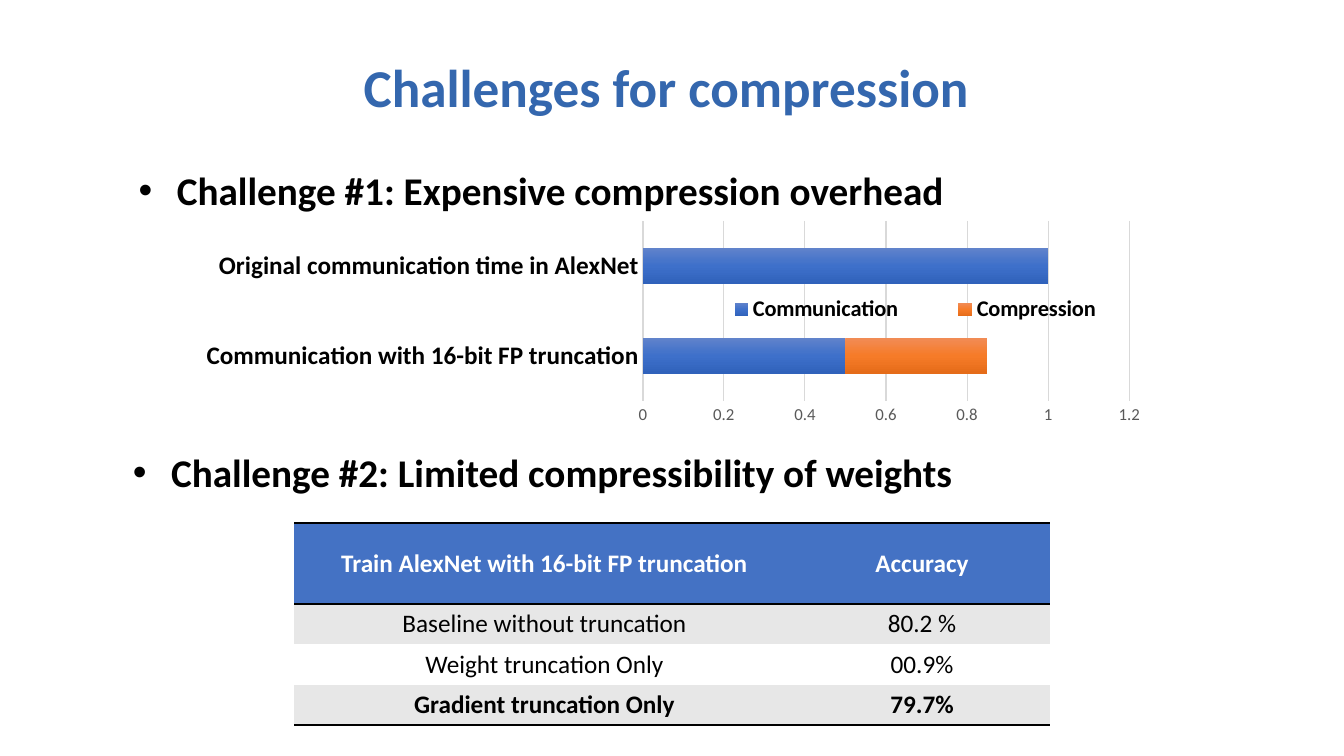
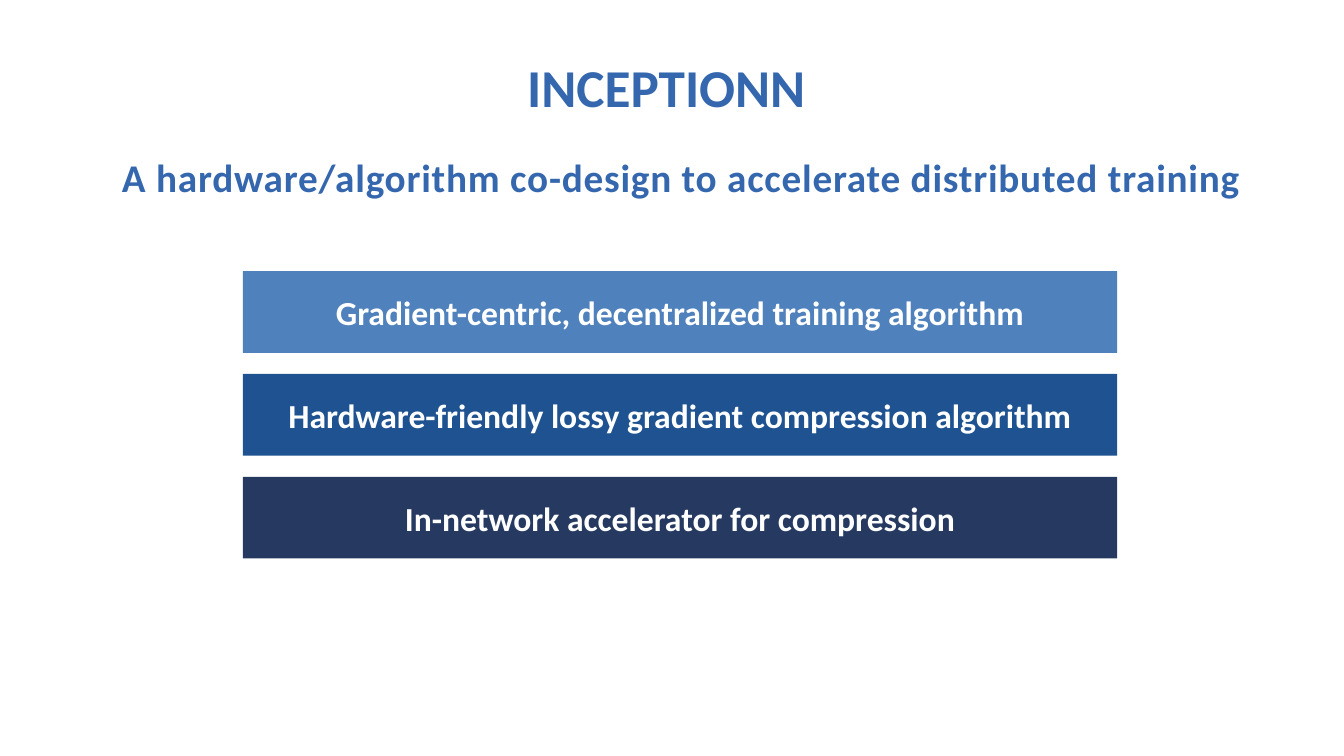
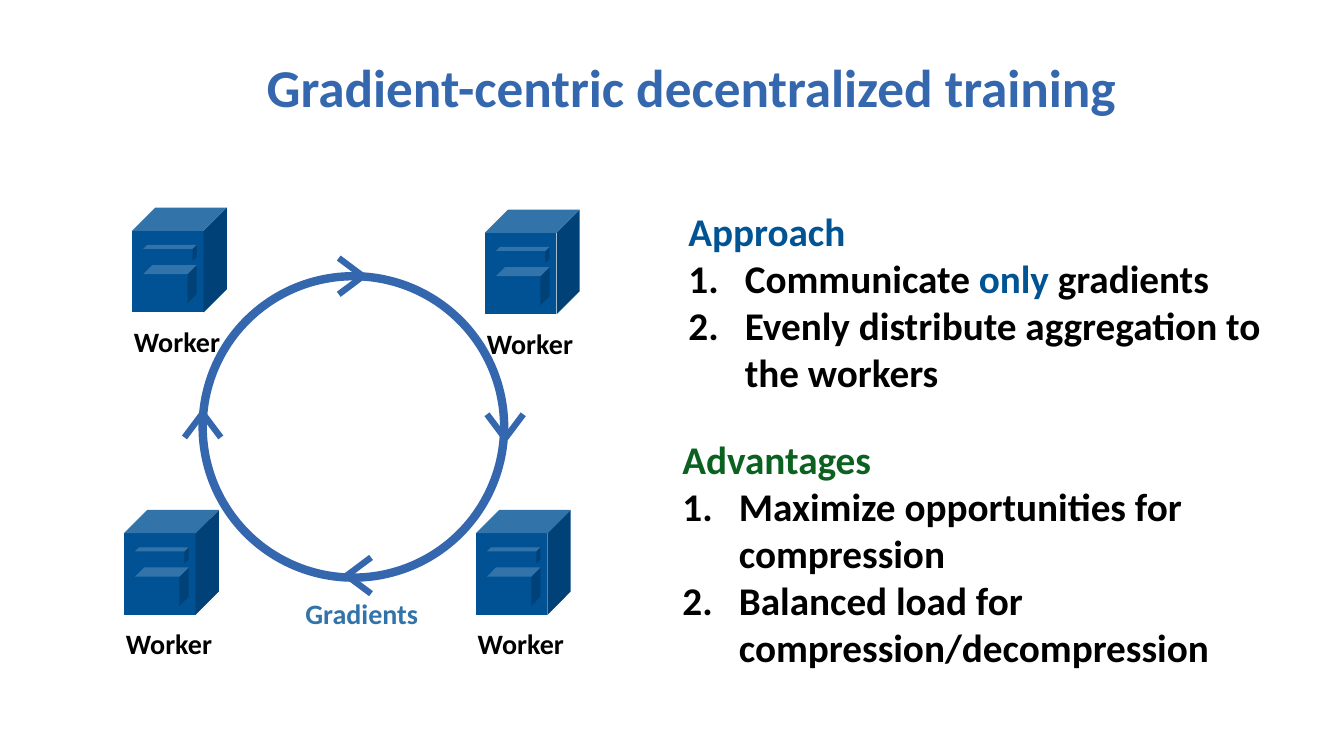
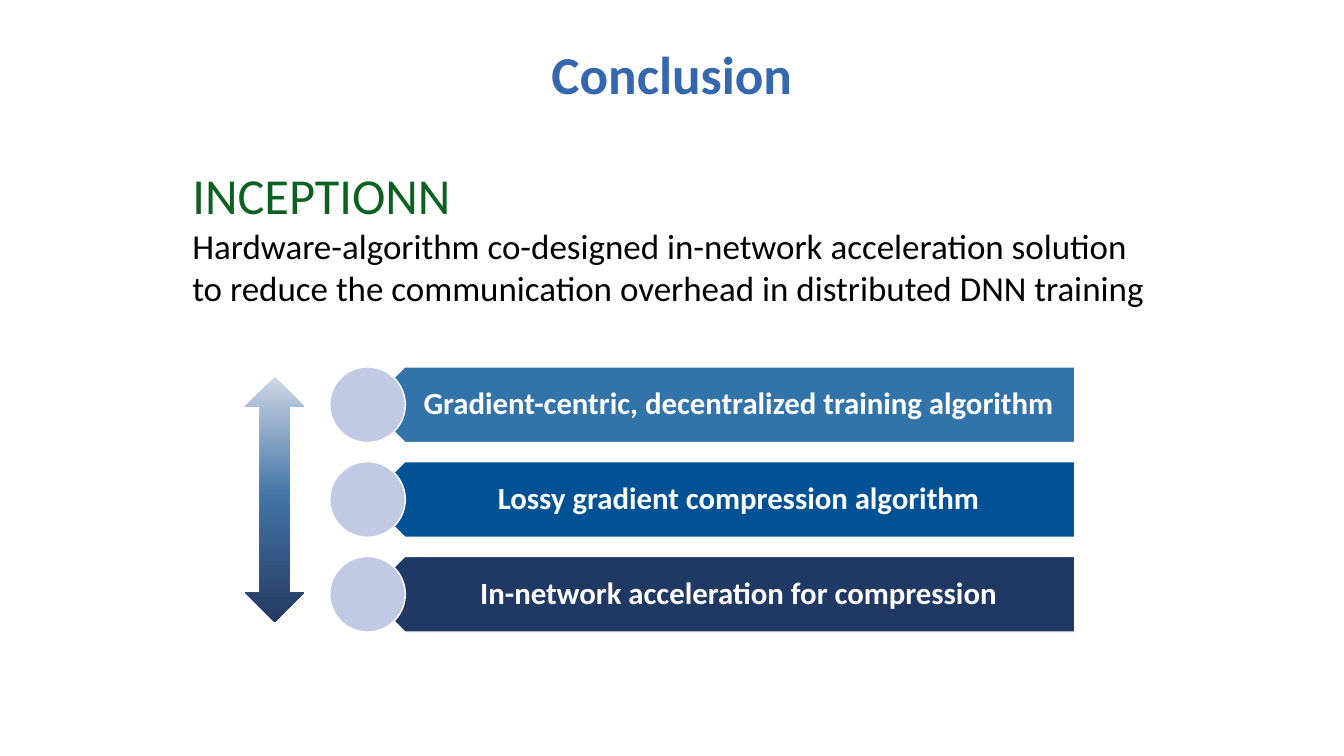
"""Build four slides on gradient compression for distributed training."""
from lxml import etree
from pptx import Presentation
from pptx.chart.data import CategoryChartData
from pptx.dml.color import RGBColor
from pptx.enum import chart as charts, shapes, text
from pptx.oxml.ns import qn
from pptx.util import Inches, Pt

FONT = "Calibri"
BLACK = RGBColor(0x00, 0x00, 0x00)
WHITE = RGBColor(0xFF, 0xFF, 0xFF)
TITLE_BLUE = RGBColor(0x34, 0x67, 0xAE)
TABLE_BLUE = RGBColor(0x44, 0x72, 0xC4)
SKY = RGBColor(0x4F, 0x81, 0xBD)
ROYAL = RGBColor(0x1E, 0x52, 0x90)
NAVY = RGBColor(0x25, 0x39, 0x61)
DEEP_NAVY = RGBColor(0x20, 0x38, 0x64)
FACE_TOP = RGBColor(0x32, 0x74, 0xAA)
FACE_FRONT = RGBColor(0x00, 0x52, 0x95)
FACE_SIDE = RGBColor(0x00, 0x42, 0x78)
ACCENT = RGBColor(0x00, 0x54, 0x93)
GREEN = RGBColor(0x0B, 0x61, 0x20)
LILAC = RGBColor(0xC1, 0xC9, 0xE4)
BAND = RGBColor(0xE7, 0xE7, 0xE7)
GRID = RGBColor(0xD9, 0xD9, 0xD9)
AXIS_GRAY = RGBColor(0x59, 0x59, 0x59)

CENTER = text.PP_ALIGN.CENTER
MIDDLE = text.MSO_ANCHOR.MIDDLE
INSETS = (0.1, 0.05, 0.1, 0.05)

CHALLENGES = [
    ("Challenge #1: Expensive compression overhead", (1.07, 1.6, 8.59, 0.57)),
    ("Challenge #2: Limited compressibility of weights", (1.16, 4.4, 8.44, 0.57)),
]
TIMINGS = ["Communication with 16-bit FP truncation", "Original communication time in AlexNet"]
COSTS = [
    ("Communication", (0.5, 1), [(0, "6183CB"), (50, "3E70CA"), (100, "3062BB")]),
    ("Compression", (0.35, 0), [(0, "F18C57"), (50, "F67B28"), (100, "E56C19")]),
]
ACCURACY = [
    ("Train AlexNet with 16-bit FP truncation", "Accuracy"),
    ("Baseline without truncation", "80.2 %"),
    ("Weight truncation Only", "00.9%"),
    ("Gradient truncation Only", "79.7%"),
]
PARTS = [
    ("Gradient-centric, decentralized training algorithm", SKY),
    ("Hardware-friendly lossy gradient compression algorithm", ROYAL),
    ("In-network accelerator for compression", NAVY),
]
WORKERS = [(1.31, 2.06), (4.81, 2.08), (4.72, 5.06), (1.23, 5.06)]
SERVER_BLOCKS = [
    (0, 0, 0.94, 1.04, 0.23),
    (0.11, 0.37, 0.53, 0.16, 0.04),
    (0.11, 0.57, 0.53, 0.38, 0.09),
]
ARROW_TIPS = [
    ((3.6, 2.74), (1, 0)),
    ((5.01, 4.35), (0, 1)),
    ((3.44, 5.71), (-1, 0)),
    ((2.01, 4.1), (0, -1)),
]
APPROACH = [
    [("Approach", {"color": ACCENT})],
    ["Communicate ", ("only", {"color": ACCENT}), " gradients"],
    ["Evenly distribute aggregation to the workers"],
]
ADVANTAGES = [
    [("Advantages", {"color": GREEN})],
    ["Maximize opportunities for compression"],
    ["Balanced load for compression/decompression"],
]
SUMMARY = [
    [("INCEPTIONN", {"color": GREEN, "size": 36})],
    ["Hardware-algorithm co-designed in-network acceleration solution\n"
     "to reduce the communication overhead in distributed DNN training"],
]
CONCLUSIONS = [
    ("Gradient-centric, decentralized training algorithm", FACE_TOP),
    ("Lossy gradient compression algorithm", FACE_FRONT),
    ("In-network acceleration for compression", DEEP_NAVY),
]
ARROW_STOPS = [(0, "CDD6E5"), (49, "4274A6"), (100, "253961")]


def style(font, size, color, bold=False):
    font.name, font.size, font.bold = FONT, Pt(size), bold
    font.color.rgb = color


def add_marker(paragraph, marker, indent):
    props = paragraph._p.get_or_add_pPr()
    props.set("marL", str(Inches(indent)))
    props.set("indent", str(-Inches(indent)))
    if marker == "•":
        etree.SubElement(props, qn("a:buFont"), typeface="Arial")
        etree.SubElement(props, qn("a:buChar"), char=marker)
    else:
        etree.SubElement(props, qn("a:buAutoNum"), type=marker)


def write(frame, paragraphs, size=28, color=BLACK, bold=True, align=None, anchor=None,
          insets=INSETS, wrap=True, marker=None, indent=0.38, marked_from=0,
          tracking=None, line_spacing=None):
    if isinstance(paragraphs, str):
        paragraphs = [[paragraphs]]
    frame.word_wrap = wrap
    if anchor is not None:
        frame.vertical_anchor = anchor
    frame.margin_left, frame.margin_top, frame.margin_right, frame.margin_bottom = map(Inches, insets)
    for number, runs in enumerate(paragraphs):
        paragraph = frame.add_paragraph() if number else frame.paragraphs[0]
        paragraph.alignment = align
        paragraph.line_spacing = line_spacing
        if marker and number >= marked_from:
            add_marker(paragraph, marker, indent)
        for item in runs:
            words, changes = (item, {}) if isinstance(item, str) else item
            for row, line in enumerate(words.split("\n")):
                if row:
                    paragraph.add_line_break()
                run = paragraph.add_run()
                run.text = line
                style(run.font, **{"size": size, "color": color, "bold": bold, **changes})
                if tracking:
                    run._r.get_or_add_rPr().set("spc", str(tracking))


def add_text(slide, box, paragraphs, **format):
    write(slide.shapes.add_textbox(*map(Inches, box)).text_frame, paragraphs, **format)


def paint(shape, fill=None, line=None, width=1):
    shape.shadow.inherit = False
    if fill is None:
        shape.fill.background()
    else:
        shape.fill.solid()
        shape.fill.fore_color.rgb = fill
    if line is None:
        shape.line.fill.background()
    else:
        shape.line.color.rgb = line
        shape.line.width = Pt(width)


def add_shape(slide, kind, box, **look):
    shape = slide.shapes.add_shape(kind, *map(Inches, box))
    paint(shape, **look)
    return shape


def shade(fill, element, stops):
    fill.gradient()
    fill.gradient_angle = 270
    stop_list = element.find(".//" + qn("a:gsLst"))
    for stop in list(stop_list):
        stop_list.remove(stop)
    for position, color in stops:
        stop = etree.SubElement(stop_list, qn("a:gs"), pos=str(position * 1000))
        etree.SubElement(stop, qn("a:srgbClr"), val=color)


def start_slide(deck, title, left=0, top=0.49, width=13.22):
    slide = deck.slides.add_slide(deck.slide_layouts[6])
    add_text(slide, (left, top, width, 0.74), title, size=38, color=TITLE_BLUE, align=CENTER)
    return slide


def place(parent, before, x, y, w, h, inner=False):
    for old in parent.findall(qn("c:layout")):
        parent.remove(old)
    layout = etree.Element(qn("c:layout"))
    manual = etree.SubElement(layout, qn("c:manualLayout"))
    if inner:
        etree.SubElement(manual, qn("c:layoutTarget"), val="inner")
    for tag, value in (("xMode", "edge"), ("yMode", "edge"), ("x", x), ("y", y), ("w", w), ("h", h)):
        etree.SubElement(manual, qn("c:" + tag), val=str(value))
    parent.insert(before, layout)


def add_cost_chart(slide):
    data = CategoryChartData()
    data.categories = TIMINGS
    for name, values, _ in COSTS:
        data.add_series(name, values)
    chart = slide.shapes.add_chart(charts.XL_CHART_TYPE.BAR_STACKED,
                                   *map(Inches, (1.84, 2.14, 9.65, 2.55)), data).chart
    style(chart.font, 10, BLACK)
    chart.has_title = False
    plot = chart.plots[0]
    plot.gap_width, plot.overlap, plot.vary_by_categories = 150, 100, False
    for series, (_, _, stops) in zip(plot.series, COSTS):
        shade(series.format.fill, series._element, stops)

    for axis, size, color, bold in ((chart.category_axis, 18, BLACK, True),
                                    (chart.value_axis, 12, AXIS_GRAY, False)):
        style(axis.tick_labels.font, size, color, bold)
        axis.major_tick_mark = axis.minor_tick_mark = charts.XL_TICK_MARK.NONE
    chart.category_axis.format.line.color.rgb = GRID
    chart.category_axis.format.line.width = Pt(1)
    scale = chart.value_axis
    scale.minimum_scale, scale.maximum_scale, scale.major_unit = 0, 1.2, 0.2
    scale.format.line.fill.background()
    scale.major_gridlines.format.line.color.rgb = GRID
    scale.major_gridlines.format.line.width = Pt(0.75)

    chart.has_legend = True
    legend = chart.legend
    legend.position = charts.XL_LEGEND_POSITION.BOTTOM
    legend.include_in_layout = False
    style(legend.font, 16, BLACK, True)
    place(legend._element, 1, 0.51, 0.3, 0.48, 0.13)
    place(plot._element.getparent(), 0, 0.47, 0.02, 0.5, 0.7, inner=True)


def add_border(cell, side):
    line = etree.Element(qn("a:ln" + side), w=str(Pt(2)))
    fill = etree.SubElement(line, qn("a:solidFill"))
    etree.SubElement(fill, qn("a:srgbClr"), val=str(BLACK))
    cell._tc.get_or_add_tcPr().insert(0, line)


def add_accuracy_table(slide):
    table = slide.shapes.add_table(len(ACCURACY), 2, *map(Inches, (2.92, 5.19, 7.49, 2))).table
    table.horz_banding = False
    table._tbl.tblPr.find(qn("a:tableStyleId")).text = "{2D5ABB26-0587-4C30-8999-92F81FD0307C}"
    for column, width in zip(table.columns, (4.96, 2.53)):
        column.width = Inches(width)
    last = len(ACCURACY) - 1
    for number, entries in enumerate(ACCURACY):
        table.rows[number].height = Inches(0.4 if number else 0.8)
        for cell, entry in zip(table.rows[number].cells, entries):
            write(cell.text_frame, entry, size=18, color=BLACK if number else WHITE,
                  bold=number in (0, last), align=CENTER)
            cell.vertical_anchor = MIDDLE
            cell.fill.solid()
            cell.fill.fore_color.rgb = (BAND if number % 2 else WHITE) if number else TABLE_BLUE
            for side in {0: "BT", last: "B"}.get(number, ""):
                add_border(cell, side)


def add_block(slide, x, y, w, h, depth):
    right, bottom = x + w, y + h
    edge, front = right - depth, y + depth
    faces = [
        (FACE_FRONT, [(x, bottom), (edge, bottom), (edge, front), (x, front)]),
        (FACE_SIDE, [(right, y), (edge, front), (edge, bottom), (right, bottom - depth)]),
        (FACE_TOP, [(right, y), (x + depth, y), (x, front), (edge, front)]),
    ]
    for color, corners in faces:
        points = [(Inches(across), Inches(down)) for across, down in corners]
        outline = slide.shapes.build_freeform(*points[0])
        outline.add_line_segments(points[1:], close=True)
        paint(outline.convert_to_shape(), fill=color)


def add_worker(slide, x, y):
    for dx, dy, w, h, depth in SERVER_BLOCKS:
        add_block(slide, x + dx, y + dy, w, h, depth)
    add_text(slide, (x - 0.08, y + 1.11, 1.07, 0.44), "Worker", size=20, wrap=False)


def add_arrow_tip(slide, tip, heading):
    (x, y), (dx, dy) = tip, heading
    for side in (-0.18, 0.18):
        start = (x - 0.24 * dx - side * dy, y - 0.24 * dy + side * dx)
        stroke = slide.shapes.add_connector(shapes.MSO_CONNECTOR.STRAIGHT, *map(Inches, (*start, x, y)))
        stroke.line.color.rgb = TITLE_BLUE
        stroke.line.width = Pt(4.5)
        etree.SubElement(stroke._element.spPr, qn("a:effectLst"))


def build_challenges(deck):
    slide = start_slide(deck, "Challenges for compression")
    add_cost_chart(slide)
    for challenge, box in CHALLENGES:
        add_text(slide, box, challenge, align=CENTER, marker="•")
    add_accuracy_table(slide)


def build_overview(deck):
    slide = start_slide(deck, "INCEPTIONN")
    add_text(slide, (1.21, 1.52, 11.65, 0.6),
             "A hardware/algorithm co-design to accelerate distributed training",
             color=TITLE_BLUE, insets=(0, 0, 0, 0), tracking=60)
    for number, (part, color) in enumerate(PARTS):
        bar = add_shape(slide, shapes.MSO_SHAPE.RECTANGLE,
                        (2.41, 2.69 + 1.02 * number, 8.67, 0.81), fill=color)
        write(bar.text_frame, part, size=24, color=WHITE, align=CENTER, anchor=MIDDLE)


def build_training(deck):
    slide = start_slide(deck, "Gradient-centric decentralized training", left=0.25)
    add_text(slide, (2.93, 5.87, 1.33, 0.44), "Gradients", size=20, color=FACE_TOP)
    add_shape(slide, shapes.MSO_SHAPE.OVAL, (2.01, 2.74, 2.99, 2.99), line=TITLE_BLUE, width=6)
    for x, y in WORKERS:
        add_worker(slide, x, y)
    for tip, heading in ARROW_TIPS:
        add_arrow_tip(slide, tip, heading)
    for points, box in ((APPROACH, (6.73, 2.01, 6.14, 2.46)), (ADVANTAGES, (6.67, 4.27, 6.75, 2.93))):
        add_text(slide, box, points, marker="arabicPeriod", indent=0.56, marked_from=1)


def build_conclusion(deck):
    slide = start_slide(deck, "Conclusion", top=0.36, width=13.33)
    add_text(slide, (1.81, 1.58, 11.19, 1.55), SUMMARY, size=25, bold=False)
    for number, (conclusion, color) in enumerate(CONCLUSIONS):
        top = 3.64 + 0.94 * number
        banner = add_shape(slide, shapes.MSO_SHAPE.PENTAGON, (3.64, top, 7.02, 0.75),
                           fill=color, line=WHITE)
        banner.rotation = 180
        add_text(slide, (3.83, top, 6.83, 0.75), conclusion, size=22, color=WHITE, align=CENTER,
                 anchor=MIDDLE, insets=(0.33, 0.09, 0.17, 0.09), line_spacing=0.9)
        add_shape(slide, shapes.MSO_SHAPE.OVAL, (3.27, top, 0.75, 0.75), fill=LILAC, line=WHITE)
    span = add_shape(slide, shapes.MSO_SHAPE.UP_DOWN_ARROW, (2.43, 3.74, 0.59, 2.43))
    shade(span.fill, span._element, ARROW_STOPS)


def main():
    deck = Presentation()
    deck.slide_width, deck.slide_height = Inches(13.33), Inches(7.5)
    for build in (build_challenges, build_overview, build_training, build_conclusion):
        build(deck)
    deck.save("out.pptx")


if __name__ == "__main__":
    main()
